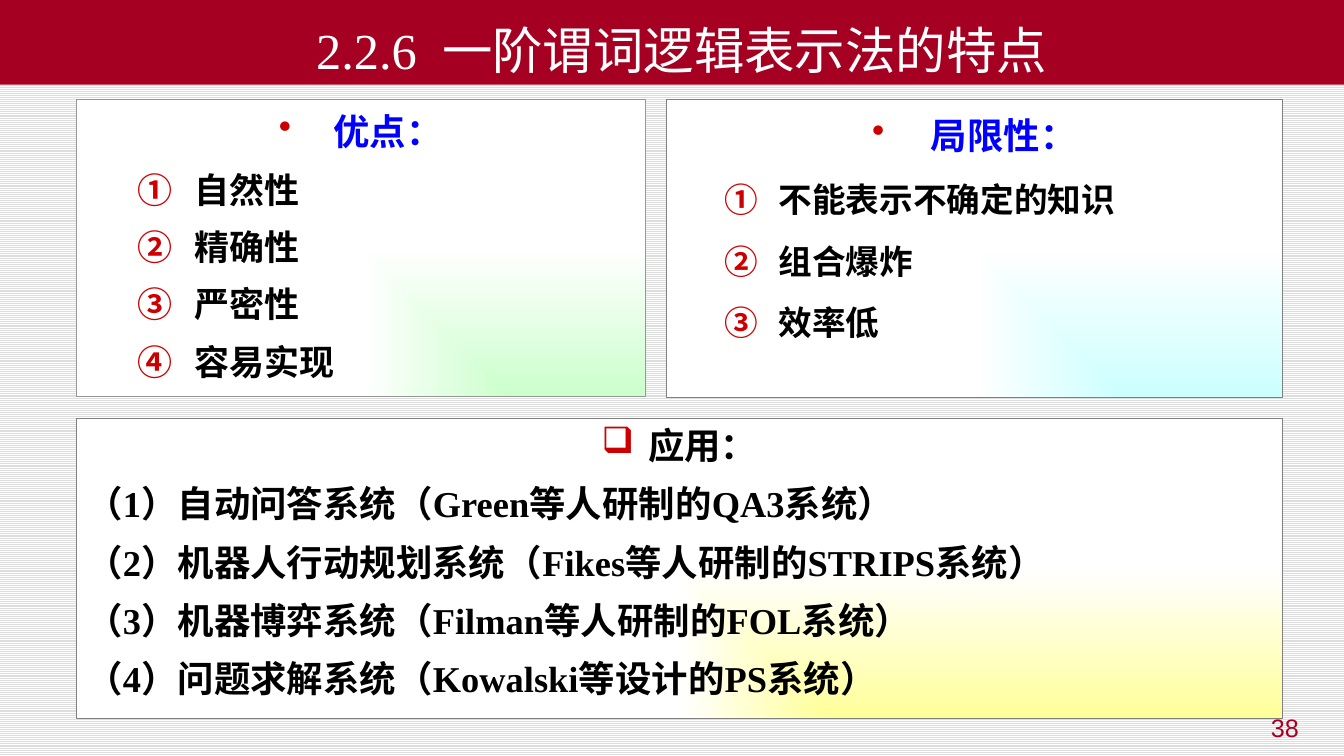
from lxml.etree import SubElement
from pptx import Presentation
from pptx.dml.color import RGBColor
from pptx.enum.dml import MSO_PATTERN
from pptx.enum.shapes import MSO_SHAPE
from pptx.enum.text import MSO_ANCHOR, PP_ALIGN
from pptx.oxml.ns import qn
from pptx.util import Inches, Pt

COLORS = {k: RGBColor.from_string(v) for k, v in {
    "red": "A50021", "bullet": "CC0000", "blue": "0000FF", "black": "000000",
    "white": "FFFFFF", "stripe": "DDDDDD", "gray": "808080", "silver": "969696",
    "green": "CCFFCC", "cyan": "CCFFFF", "yellow": "FFFF99"}.items()}
SERIF, SANS, CJK = "Times New Roman", "Arial", "Noto Sans CJK SC"
WIDTH, HEIGHT = 13.33, 7.5
LEFT, RIGHT, TOP = 0.76, 12.72, 0.99
SPLIT, LOWER = 6.61, 4.15


def add_box(left, top, width, height, fill=None, line=None):
    """Add a rectangle, shaded from its lower right corner if it has a line."""
    s = slide.shapes.add_shape(MSO_SHAPE.RECTANGLE, *map(Inches, (left, top, width, height)))
    s.shadow.inherit = False
    s.text_frame.word_wrap = True
    s.text_frame.vertical_anchor = MSO_ANCHOR.TOP
    if not line:
        s.fill.solid()
        s.fill.fore_color.rgb = COLORS[fill]
        s.line.fill.background()
        return s
    s.line.color.rgb = COLORS[line]
    s.line.width = Pt(0.75)
    s.fill.gradient()
    for stop, color, position in zip(s.fill.gradient_stops, (fill, "white"), (0, 1)):
        stop.color.rgb = COLORS[color]
        stop.position = position
    grad = s._element.spPr.find(qn("a:gradFill"))
    grad.remove(grad.find(qn("a:lin")))
    path = SubElement(grad, qn("a:path"), path="rect")
    SubElement(path, qn("a:fillToRect"), l="100000", t="100000")
    return s


def add_line(p, text, size, font, color, bold=True, margin=0, hang=0,
             before=0, spacing=None, bullet=None):
    """Fill a paragraph with one run, its spacing and its bullet."""
    p.alignment = p.alignment or PP_ALIGN.LEFT
    if spacing:
        p.line_spacing = spacing
    pPr = p._p.get_or_add_pPr()
    pPr.set("marL", str(Inches(margin)))
    pPr.set("indent", str(Inches(hang)))
    SubElement(SubElement(pPr, qn("a:spcBef")), qn("a:spcPct"), val=str(before * 1000))
    if bullet:
        SubElement(SubElement(pPr, qn("a:buClr")), qn("a:srgbClr"), val=str(COLORS["bullet"]))
        if bullet == "number":
            SubElement(pPr, qn("a:buAutoNum"), type="circleNumDbPlain")
        else:
            SubElement(pPr, qn("a:buChar"), char=bullet)
    r = p.add_run()
    r.text = text
    r.font.size, r.font.name, r.font.bold = Pt(size), font, bold
    r.font.color.rgb = COLORS[color]
    SubElement(r._r.get_or_add_rPr(), qn("a:ea"), typeface=CJK)


prs = Presentation()
prs.slide_width, prs.slide_height = Inches(WIDTH), Inches(HEIGHT)
slide = prs.slides.add_slide(prs.slide_layouts[6])
background = slide.background.fill
background.patterned()
background.pattern = MSO_PATTERN.LIGHT_HORIZONTAL
background.fore_color.rgb = COLORS["stripe"]
background.back_color.rgb = COLORS["white"]

# Title band
title = add_box(0, 0, WIDTH, 0.84, "red")
title.text_frame.vertical_anchor = MSO_ANCHOR.BOTTOM
add_line(title.text_frame.paragraphs[0], "2.2.6  一阶谓词逻辑表示法的特点", 36, SERIF,
         "white", bold=False, hang=0.19)

# Page number
number = slide.shapes.add_textbox(*map(Inches, (9.87, 7.02, 3.11, 0.52)))
number.text_frame.word_wrap = True
p = number.text_frame.paragraphs[0]
p.alignment = PP_ALIGN.RIGHT
add_line(p, "38", 18, SANS, "red", bold=False)

# Panels: box, heading text and style, item texts and style
advantages = (
    (LEFT, TOP, 5.64, 2.94, "green", "silver"),
    "优点:".replace(":", "："),
    dict(size=26, font=SERIF, color="blue", margin=0.54, hang=-0.54,
         before=50, spacing=1.1, bullet="•"),
    [" 自然性", " 精确性", " 严密性", " 容易实现"],
    dict(size=25, font=SERIF, color="black", margin=0.99, hang=-0.48,
         before=20, spacing=1.2, bullet="number"))
applications = (
    (LEFT, LOWER, RIGHT - LEFT, 2.98, "yellow", "gray"),
    " 应用：",
    dict(size=26, font=CJK, color="black", margin=0.38, hang=-0.38,
         before=50, bullet="❑"),
    ["（1）自动问答系统（Green等人研制的QA3系统）",
     "（2）机器人行动规划系统（Fikes等人研制的STRIPS系统）",
     "（3）机器博弈系统（Filman等人研制的FOL系统）",
     "（4）问题求解系统（Kowalski等设计的PS系统）"],
    dict(size=26, font=SERIF, color="black", margin=0.38, hang=-0.38, before=40))
limits = (
    (SPLIT, TOP, RIGHT - SPLIT, 2.95, "cyan", "gray"),
    " 局限性：",
    dict(size=26, font=SANS, color="blue", margin=0.5, hang=-0.5,
         before=20, spacing=1.2, bullet="•"),
    [" 不能表示不确定的知识", " 组合爆炸", " 效率低"],
    dict(size=24, font=SANS, color="black", margin=0.94, hang=-0.46,
         before=40, spacing=1.2, bullet="number"))

for box, heading, heading_style, items, item_style in (advantages, applications, limits):
    tf = add_box(*box).text_frame
    add_line(tf.paragraphs[0], heading, **heading_style)
    for item in items:
        p = tf.add_paragraph()
        p.level = 1 if "bullet" in item_style else 0
        add_line(p, item, **item_style)

prs.save("out.pptx")
